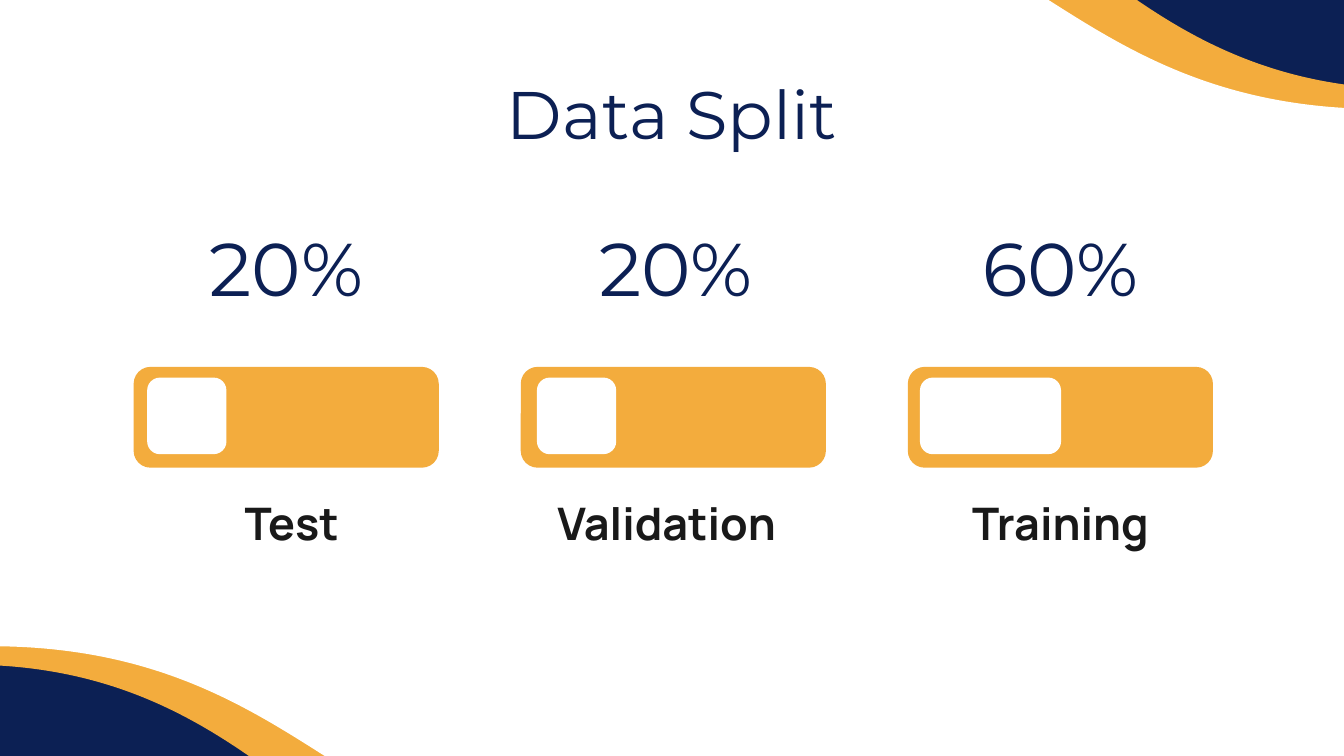
from pptx import Presentation
from pptx.dml.color import RGBColor
from pptx.enum.shapes import MSO_SHAPE
from pptx.enum.text import MSO_ANCHOR, PP_ALIGN
from pptx.util import Inches, Pt

NAVY, AMBER, WHITE, INK = "0C2054", "F3AC3D", "FFFFFF", "191919"

TITLE = "Data Split"
# share, its sideways shift, name, its sideways shift, block inset, block width
SPLITS = [
    ("20%", 0, "Test", 0.04, 0.1, 0.59),
    ("20%", 0.02, "Validation", -0.05, 0.12, 0.59),
    ("60%", 0, "Training", 0, 0.09, 1.05),
]
# left, top, width, height, rotation, colour
WAVES = [
    (-0.24, -2.4, 5.6, 9.16, 0, AMBER),
    (4.93, -1.15, 5.6, 9.16, 180, AMBER),
    (-0.07, -1.39, 5.6, 7.73, 0, WHITE),
    (4.68, -0.72, 5.6, 7.73, 180, WHITE),
]

SLIDE_W = 10
SLIDE_H = SLIDE_W * 9 / 16
FIRST_CENTER, COLUMN_PITCH = 2.13, 2.88
BAR_TOP, BAR_W, BAR_H = 2.73, 2.27, 0.75
BLOCK_TOP, BLOCK_H = 2.81, 0.57
TEXT_W = 2.61


def rgb(color):
    return RGBColor.from_string(color)


def add_filled(slide, preset, left, top, width, height, color):
    shape = slide.shapes.add_shape(
        preset, Inches(left), Inches(top), Inches(width), Inches(height))
    shape.shadow.inherit = False
    shape.fill.solid()
    shape.fill.fore_color.rgb = rgb(color)
    shape.line.fill.background()
    return shape


def add_wave(slide, left, top, width, height, rotation, color):
    wave = add_filled(slide, MSO_SHAPE.FLOWCHART_DOCUMENT,
                      left, top, width, height, color)
    wave.rotation = rotation
    wave._element.spPr.xfrm.set("flipH", "1")


def add_centered_text(slide, text, center, top, width, height,
                      size, font_name, color, bold=False):
    box = slide.shapes.add_textbox(
        Inches(center - width / 2), Inches(top), Inches(width), Inches(height))
    frame = box.text_frame
    frame.word_wrap = True
    frame.vertical_anchor = MSO_ANCHOR.MIDDLE
    frame.margin_left = frame.margin_right = Inches(0.1)
    frame.margin_top = frame.margin_bottom = Inches(0.1)
    paragraph = frame.paragraphs[0]
    paragraph.text = text
    paragraph.alignment = PP_ALIGN.CENTER
    font = paragraph.font
    font.size, font.name, font.bold = Pt(size), font_name, bold
    font.color.rgb = rgb(color)


def add_bar(slide, center, inset, block_width):
    left = center - BAR_W / 2
    add_filled(slide, MSO_SHAPE.ROUNDED_RECTANGLE,
               left, BAR_TOP, BAR_W, BAR_H, AMBER)
    add_filled(slide, MSO_SHAPE.ROUNDED_RECTANGLE,
               left + inset, BLOCK_TOP, block_width, BLOCK_H, WHITE)


def main():
    deck = Presentation()
    deck.slide_width, deck.slide_height = Inches(SLIDE_W), Inches(SLIDE_H)
    slide = deck.slides.add_slide(deck.slide_layouts[6])
    slide.background.fill.solid()
    slide.background.fill.fore_color.rgb = rgb(NAVY)

    for wave in WAVES:
        add_wave(slide, *wave)

    add_centered_text(slide, TITLE, SLIDE_W / 2, 0.58, 8.41, 0.51,
                      36, "Montserrat", NAVY)
    for column, (share, share_shift, name, name_shift,
                 inset, block_width) in enumerate(SPLITS):
        center = FIRST_CENTER + column * COLUMN_PITCH
        add_centered_text(slide, share, center + share_shift, 1.7, TEXT_W, 0.57,
                          40, "Montserrat", NAVY)
        add_bar(slide, center, inset, block_width)
        add_centered_text(slide, name, center + name_shift, 3.56, TEXT_W, 0.65,
                          24, "Manrope", INK, bold=True)

    deck.save("out.pptx")


if __name__ == "__main__":
    main()
